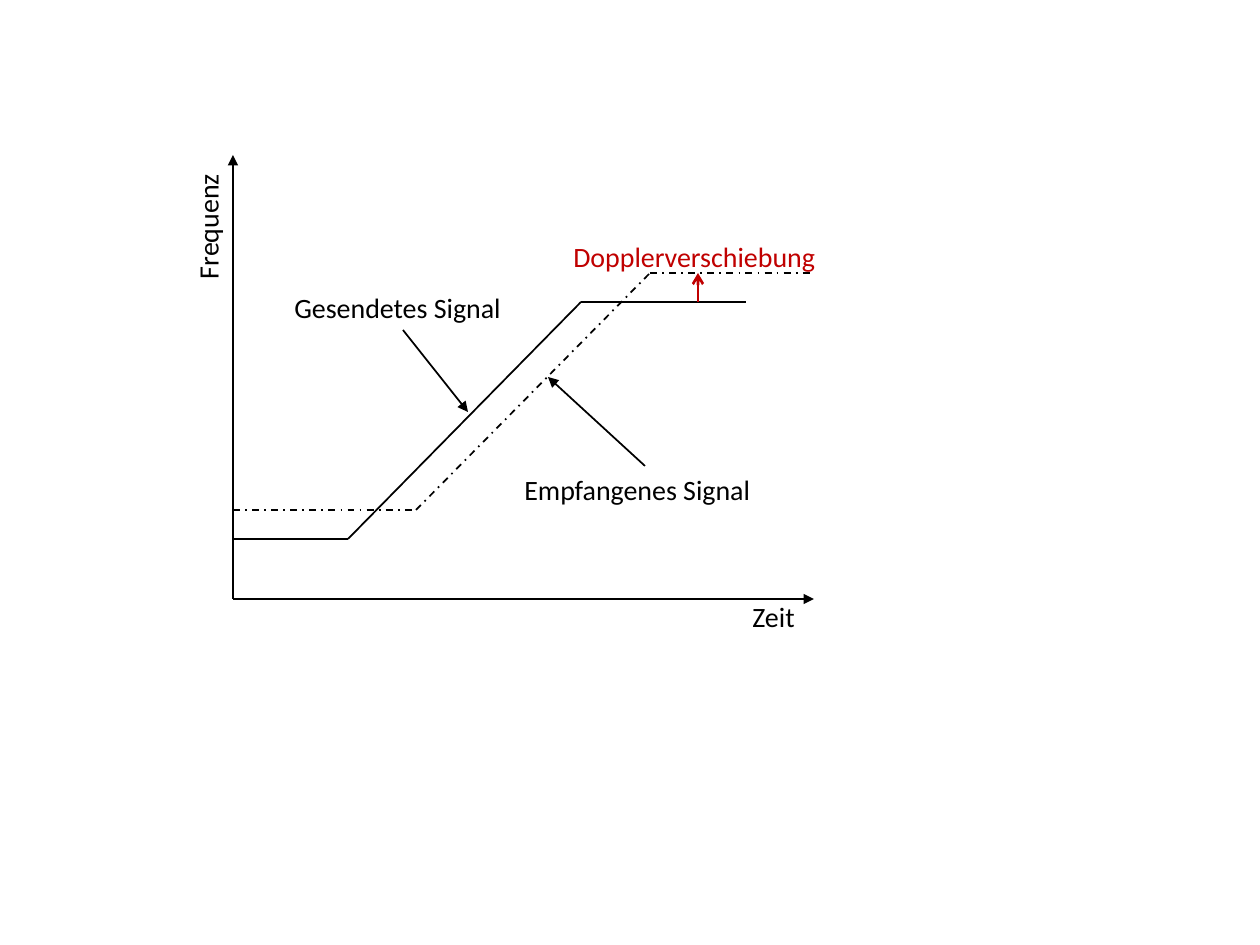
from itertools import pairwise

from lxml import etree
from pptx import Presentation
from pptx import util as u
from pptx.dml.color import RGBColor
from pptx.enum import dml, shapes, text
from pptx.oxml.ns import qn

PX = 914400 / 126
BLACK = RGBColor(0x00, 0x00, 0x00)
RED = RGBColor(0xC0, 0x00, 0x00)
FONT = "Calibri"

# Plot edges and signal levels
ORIGIN_X, ORIGIN_Y = 233, 599
AXIS_TOP, AXIS_RIGHT = 155, 814
SENT_LOW, SENT_HIGH = 539, 302
RECEIVED_LOW, RECEIVED_HIGH = 510, 273


def px(value):
    return u.Emu(round(value * PX))


def add_line(slide, start, end, color=BLACK, width=1, dash=None, arrow=None):
    line = slide.shapes.add_connector(
        shapes.MSO_CONNECTOR.STRAIGHT, *map(px, (*start, *end)))
    line.line.color.rgb = color
    line.line.width = u.Pt(width)
    if dash is not None:
        line.line.dash_style = dash
    if arrow:
        outline = line.line._get_or_add_ln()
        etree.SubElement(outline, qn("a:tailEnd"), type=arrow)
    etree.SubElement(line._element.spPr, qn("a:effectLst"))


def add_signal(slide, points, dash=None):
    for start, end in pairwise(points):
        add_line(slide, start, end, dash=dash)


def add_label(slide, words, left, top, width, height=47, color=BLACK,
              rotation=0, wrap=True):
    label = slide.shapes.add_textbox(*map(px, (left, top, width, height)))
    label.rotation = rotation
    frame = label.text_frame
    frame.word_wrap = wrap
    frame.auto_size = text.MSO_AUTO_SIZE.SHAPE_TO_FIT_TEXT
    run = frame.paragraphs[0].add_run()
    run.text = words
    run.font.name = FONT
    run.font.size = u.Pt(16)
    run.font.color.rgb = color


def main():
    presentation = Presentation()
    presentation.slide_width = u.Inches(10)
    presentation.slide_height = u.Inches(7.5)
    slide = presentation.slides.add_slide(presentation.slide_layouts[6])

    # Axes
    origin = (ORIGIN_X, ORIGIN_Y)
    add_line(slide, origin, (ORIGIN_X, AXIS_TOP), arrow="triangle")
    add_line(slide, origin, (AXIS_RIGHT, ORIGIN_Y), arrow="triangle")
    add_label(slide, "Frequenz", 142, 202, 132, rotation=270, wrap=False)
    add_label(slide, "Zeit", 740, 593, 87)

    # Sent and received signals
    add_signal(slide, [(ORIGIN_X, SENT_LOW), (348, SENT_LOW),
                       (581, SENT_HIGH), (746, SENT_HIGH)])
    add_signal(slide, [(ORIGIN_X, RECEIVED_LOW), (416, RECEIVED_LOW),
                       (650, RECEIVED_HIGH), (AXIS_RIGHT, RECEIVED_HIGH)],
               dash=dml.MSO_LINE.DASH_DOT)

    # Signal labels with pointers
    add_label(slide, "Gesendetes Signal", 282, 284, 241)
    add_line(slide, (403, 330), (468, 412), arrow="triangle")
    add_label(slide, "Empfangenes Signal", 512, 466, 268)
    add_line(slide, (645, 466), (548, 377), arrow="triangle")

    # Doppler shift between the upper levels
    add_line(slide, (698, SENT_HIGH), (698, RECEIVED_HIGH), color=RED,
             width=1.5, arrow="arrow")
    add_label(slide, "Dopplerverschiebung", 561, 233, 276, color=RED)

    presentation.save("out.pptx")


if __name__ == "__main__":
    main()
